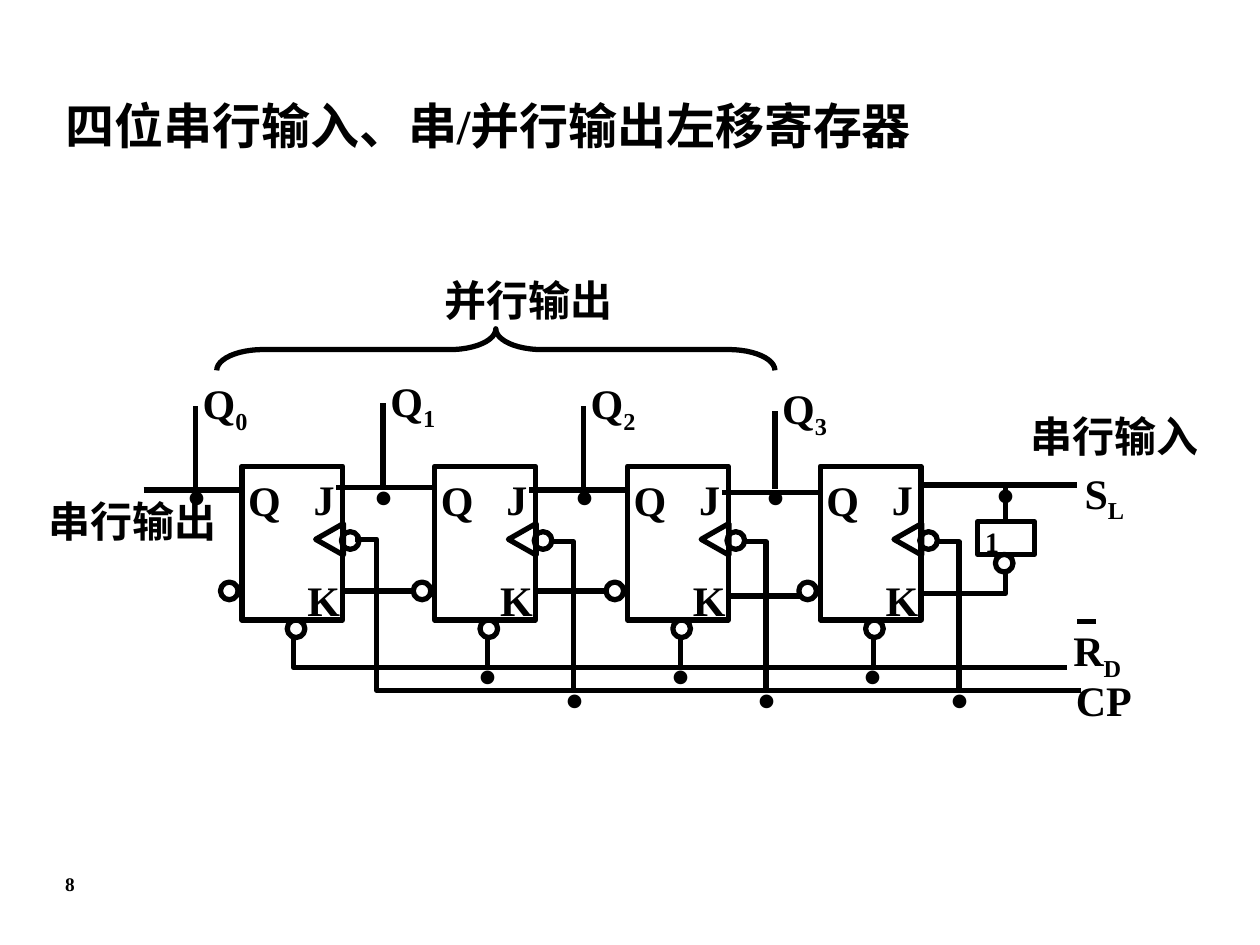
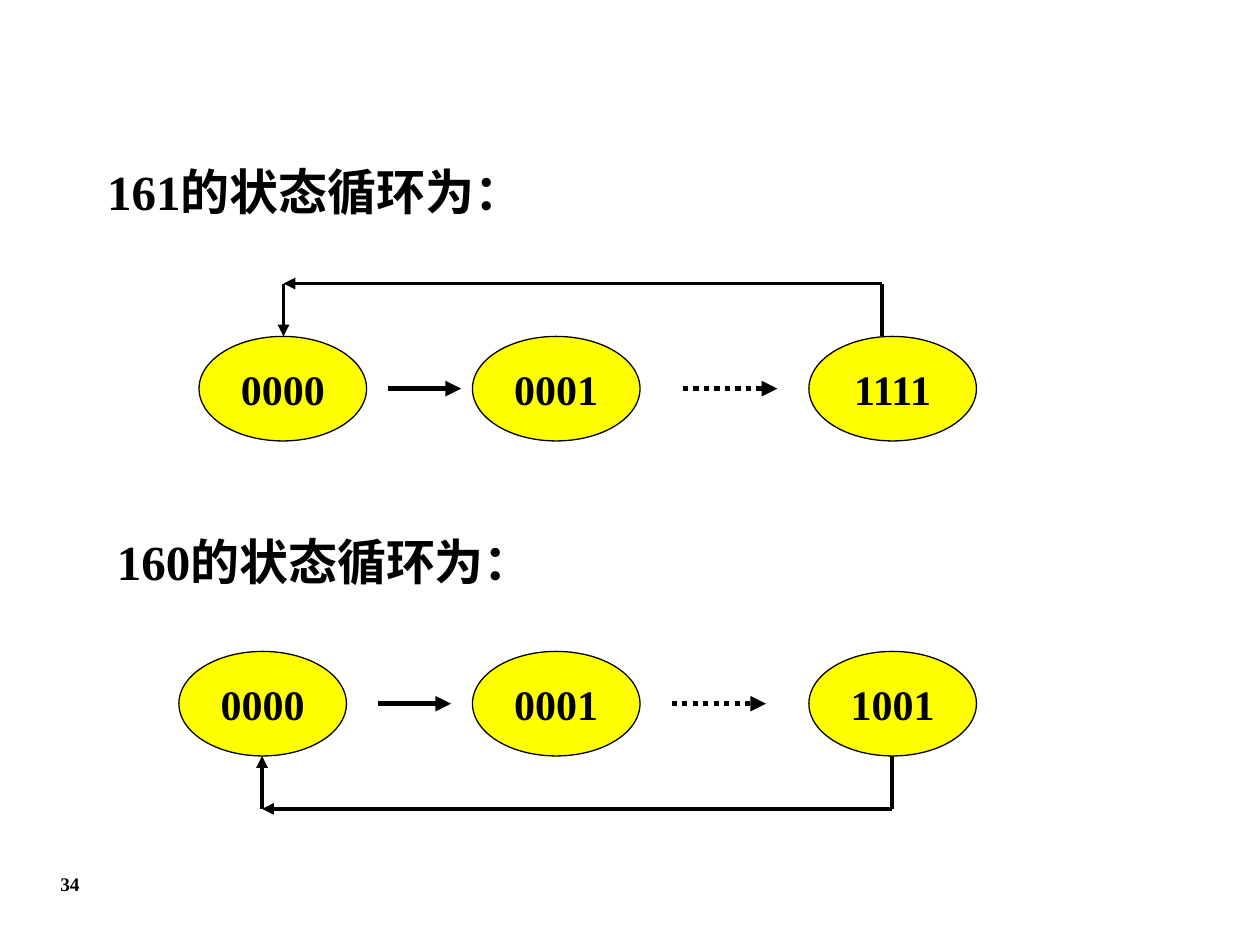
from dataclasses import dataclass

from lxml.etree import SubElement
from pptx import Presentation
from pptx.dml.color import RGBColor
from pptx.enum.dml import MSO_LINE
from pptx.enum.shapes import MSO_CONNECTOR, MSO_SHAPE as Preset
from pptx.enum.text import MSO_ANCHOR as Anchor, MSO_AUTO_SIZE, PP_ALIGN as Align
from pptx.oxml.ns import qn
from pptx.util import Inches, Pt


@dataclass(frozen=True)
class Theme:
    font: str = "Times New Roman"
    ink: RGBColor = RGBColor(0x00, 0x00, 0x00)
    state_fill: RGBColor = RGBColor(0xFF, 0xFF, 0x00)
    heading: int = 28
    label: int = 24
    gate: int = 16
    number: int = 11
    dot: int = 48
    wire: float = 3
    loop: float = 2.25
    outline: float = 0.75


THEME = Theme()
STAGE_LEFT, STAGE_PITCH, STAGE_COUNT = 1.92, 1.53, 4
STAGE_TOP, STAGE_WIDTH, STAGE_HEIGHT = 3.7, 0.8, 1.22
BUBBLE = 0.14
STATE_WIDTH, STATE_HEIGHT = 1.33, 0.83
SIGNAL_INSET, DOT_INSET, GATE_INSET = 0.13, 0.11, 0.07


# Text
def format_paragraph(para, size, align=Align.LEFT):
    para.alignment = align
    para.space_before = Pt(0)
    para.font.name = THEME.font
    para.font.size = Pt(size)
    para.font.bold = True
    para.font.color.rgb = THEME.ink


def add_text(page, text, left, top, width, height, size=THEME.label,
             subscript="", inset=0.05, align=Align.LEFT, wrap=True):
    box = page.shapes.add_textbox(Inches(left), Inches(top), Inches(width), Inches(height))
    frame = box.text_frame
    frame.word_wrap = wrap
    frame.margin_top = Inches(inset)
    para = frame.paragraphs[0]
    para.add_run().text = text
    if subscript:
        span = para.add_run()
        span.text = subscript
        span.font._element.set("baseline", "-25000")
    format_paragraph(para, size, align)


def fill_placeholder(box, text, left, top, width, height):
    box.left, box.top = Inches(left), Inches(top)
    box.width, box.height = Inches(width), Inches(height)
    frame = box.text_frame
    frame.text = text
    frame.word_wrap = True
    frame.auto_size = MSO_AUTO_SIZE.NONE
    frame.vertical_anchor = Anchor.TOP
    para = frame.paragraphs[0]
    properties = para._p.get_or_add_pPr()
    properties.set("marL", "0")
    properties.set("indent", "0")
    SubElement(properties, qn("a:buNone"))
    format_paragraph(para, THEME.heading)


def add_page_number(page, number):
    add_text(page, number, 0.06, 6.87, 0.99, 0.37, THEME.number, align=Align.CENTER)


def add_signal(page, name, left, top, width=0.77, subscript=""):
    add_text(page, name, left, top, width, 0.5, subscript=subscript, inset=SIGNAL_INSET)


def add_dot(page, left, top):
    add_text(page, ".", left, top, 0.86, 0.9, THEME.dot, inset=DOT_INSET)


# Shapes and lines
def set_line(shape, width):
    shape.line.color.rgb = THEME.ink
    shape.line.width = Pt(width)


def add_outline(page, preset, left, top, width, height, rotation=0):
    shape = page.shapes.add_shape(preset, Inches(left), Inches(top),
                                  Inches(width), Inches(height))
    shape.shadow.inherit = False
    shape.rotation = rotation
    shape.fill.background()
    set_line(shape, THEME.wire)
    return shape


def add_bubble(page, left, top):
    add_outline(page, Preset.OVAL, left, top, BUBBLE, BUBBLE)


def add_line(page, x1, y1, x2, y2, width=THEME.wire, arrow=False, dotted=False):
    line = page.shapes.add_connector(MSO_CONNECTOR.STRAIGHT, Inches(x1), Inches(y1),
                                     Inches(x2), Inches(y2))
    set_line(line, width)
    if dotted:
        line.line.dash_style = MSO_LINE.ROUND_DOT
    if arrow:
        SubElement(line.line._get_or_add_ln(), qn("a:tailEnd"), type="triangle")
    SubElement(line._element.spPr, qn("a:effectLst"))


def add_bent_wire(page, *points):
    start, *rest = [(Inches(x), Inches(y)) for x, y in points]
    builder = page.shapes.build_freeform(*start)
    builder.add_line_segments(rest, close=False)
    wire = builder.convert_to_shape()
    wire.shadow.inherit = False
    wire.fill.background()
    set_line(wire, THEME.wire)


# Shift register
def add_flip_flop(page, left):
    add_outline(page, Preset.RECTANGLE, left, STAGE_TOP, STAGE_WIDTH, STAGE_HEIGHT)
    add_outline(page, Preset.ISOSCELES_TRIANGLE, left + 0.57, 4.17, 0.25, 0.22, 270)
    for name, offset, top in (("J", 0.47, 3.63), ("Q", -0.05, 3.64), ("K", 0.42, 4.43)):
        add_signal(page, name, left + offset, top, 0.65)
    for offset, top in ((0.36, 4.92), (0.79, 4.22), (-0.17, 4.62)):
        add_bubble(page, left + offset, top)


def add_stages(page):
    lefts = [STAGE_LEFT + STAGE_PITCH * i for i in range(STAGE_COUNT)]
    for left in lefts:
        add_flip_flop(page, left)

    # Links between neighbouring stages
    for left, y in zip(lefts, (3.89, 3.87, 3.89, 3.91)):
        add_line(page, left - 0.78, y, left, y)
    for left, y in zip(lefts, (4.69, 4.69, 4.73)):
        add_line(page, left + STAGE_WIDTH, y, left + 1.38, y)

    # Reset and clock buses with a branch for each later stage
    add_bent_wire(page, (2.33, 5.05), (2.33, 5.3), (8.47, 5.3))
    add_bent_wire(page, (2.82, 4.28), (2.99, 4.28), (2.99, 5.48), (8.58, 5.48))
    for left in lefts[1:]:
        add_line(page, left + 0.42, 5.05, left + 0.42, 5.3)
        add_dot(page, left + 0.24, 4.65)
        clock = left + 1.1
        add_bent_wire(page, (left + 0.91, 4.3), (clock, 4.3), (clock, 5.47))
        add_dot(page, clock - 0.17, 4.84)


def add_parallel_outputs(page):
    taps = ((1.55, 2.87), (3.04, 2.85), (4.63, 2.87), (6.15, 2.91))
    for index, (x, label_top) in enumerate(taps):
        add_line(page, x, 3.88, x, label_top + 0.35)
        add_signal(page, "Q", x - 0.04, label_top, subscript=str(index))
        add_dot(page, x - 0.17, 3.23)
    brace = add_outline(page, Preset.LEFT_BRACE, 3.77, 0.56, 0.33, 4.43, 90)
    brace.adjustments[0], brace.adjustments[1] = 1.11, 0.5
    add_text(page, "并行输出", 3.43, 2.13, 1.8, 0.5)


def add_serial_input(page):
    add_line(page, 7.33, 3.85, 8.55, 3.85)
    add_dot(page, 7.8, 3.21)
    add_line(page, 7.98, 4.14, 7.98, 3.84)
    add_outline(page, Preset.RECTANGLE, 7.76, 4.14, 0.45, 0.26)
    add_text(page, "1", 7.72, 4.09, 0.49, 0.37, THEME.gate, inset=GATE_INSET)
    add_bubble(page, 7.9, 4.4)
    add_bent_wire(page, (7.98, 4.53), (7.98, 4.71), (7.31, 4.71))
    add_text(page, "串行输入", 8.08, 3.21, 1.55, 0.5)


def build_register_page(deck):
    page = deck.slides.add_slide(deck.slide_layouts[5])
    fill_placeholder(page.shapes.title, "四位串行输入、串/并行输出左移寄存器",
                     0.42, 0.71, 7.34, 0.68)
    add_stages(page)
    add_parallel_outputs(page)
    add_serial_input(page)
    add_text(page, "串行输出", 0.29, 3.88, 1.8, 0.5)
    add_signal(page, "S", 8.51, 3.58, subscript="L")
    add_signal(page, "R", 8.42, 4.83, subscript="D")
    add_line(page, 8.7, 4.93, 8.55, 4.93)
    add_signal(page, "CP", 8.44, 5.22)
    add_page_number(page, "8")


# State cycles
def add_state(page, code, left, top):
    state = page.shapes.add_shape(Preset.OVAL, Inches(left), Inches(top),
                                  Inches(STATE_WIDTH), Inches(STATE_HEIGHT))
    state.shadow.inherit = False
    state.fill.solid()
    state.fill.fore_color.rgb = THEME.state_fill
    set_line(state, THEME.outline)
    frame = state.text_frame
    frame.word_wrap = False
    frame.vertical_anchor = Anchor.MIDDLE
    frame.text = code
    format_paragraph(frame.paragraphs[0], THEME.label, Align.CENTER)


def add_cycle(page, codes, first_left, top, arrow_left, dotted_left):
    for code, left in zip(codes, (first_left, 3.75, 6.42)):
        add_state(page, code, left, top)
    middle = top + STATE_HEIGHT / 2
    add_line(page, arrow_left, middle, arrow_left + 0.58, middle, arrow=True)
    add_line(page, dotted_left, middle, dotted_left + 0.75, middle, arrow=True, dotted=True)


def add_return_loop(page, last_x, first_x, state_y, loop_y):
    add_line(page, last_x, state_y, last_x, loop_y, THEME.loop)
    add_line(page, last_x, loop_y, first_x, loop_y, THEME.loop, arrow=True)
    add_line(page, first_x, loop_y, first_x, state_y, THEME.loop, arrow=True)


def build_cycle_page(deck):
    page = deck.slides.add_slide(deck.slide_layouts[1])
    title = page.shapes.title._element
    title.getparent().remove(title)
    fill_placeholder(page.placeholders[1], "161的状态循环为：", 0.75, 1.23, 3.91, 0.67)
    add_cycle(page, ("0000", "0001", "1111"), 1.58, 2.67, 3.08, 5.42)
    add_return_loop(page, 7, 2.25, 2.67, 2.25)

    add_text(page, "160的状态循环为：", 0.83, 4.17, 3.56, 0.57, THEME.heading, wrap=False)
    add_cycle(page, ("0000", "0001", "1001"), 1.42, 5.17, 3, 5.33)
    add_return_loop(page, 7.08, 2.08, 6, 6.42)
    add_page_number(page, "34")


def main():
    deck = Presentation()
    deck.slide_width, deck.slide_height = Inches(10), Inches(7.5)
    build_register_page(deck)
    build_cycle_page(deck)
    deck.save("out.pptx")


if __name__ == "__main__":
    main()
